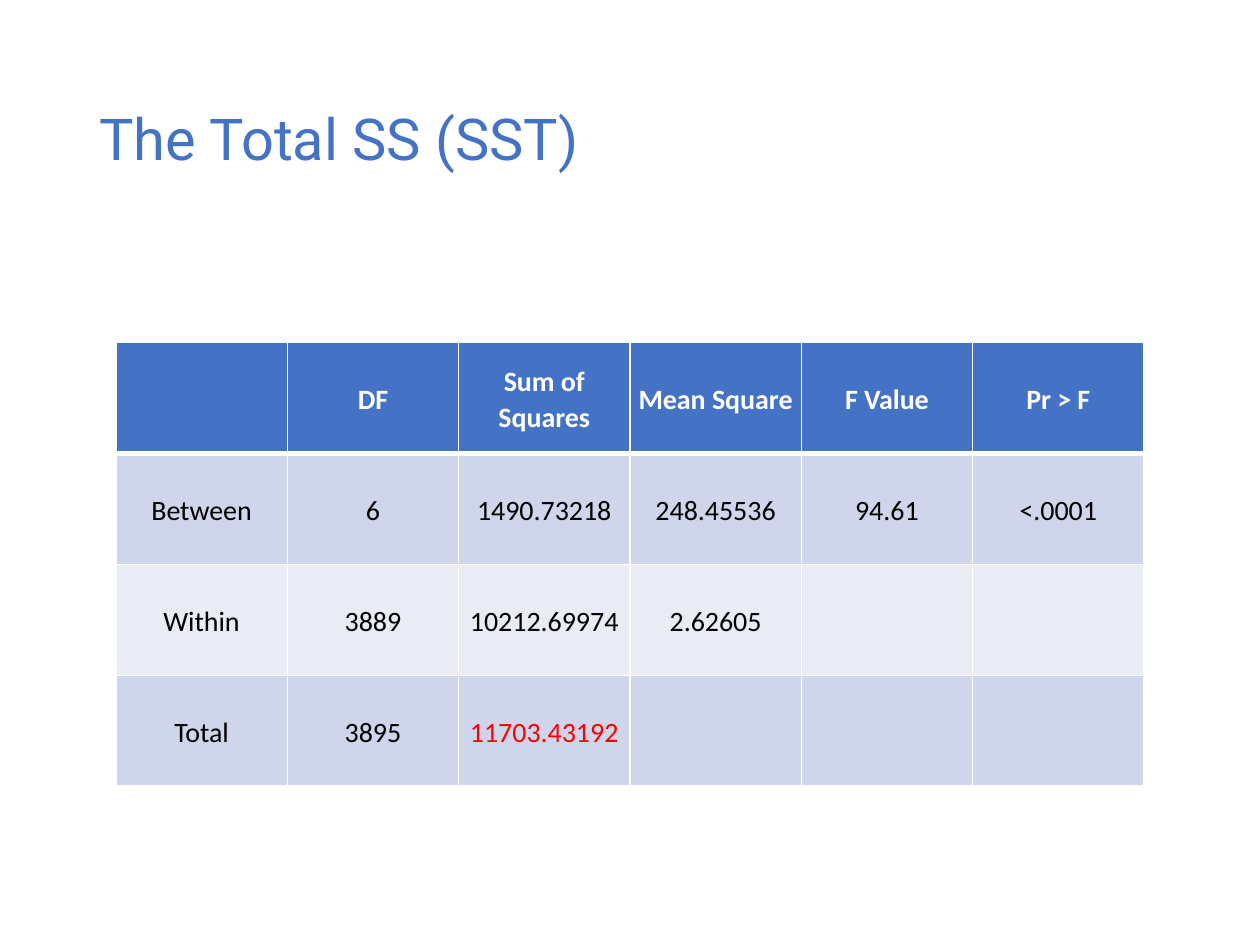
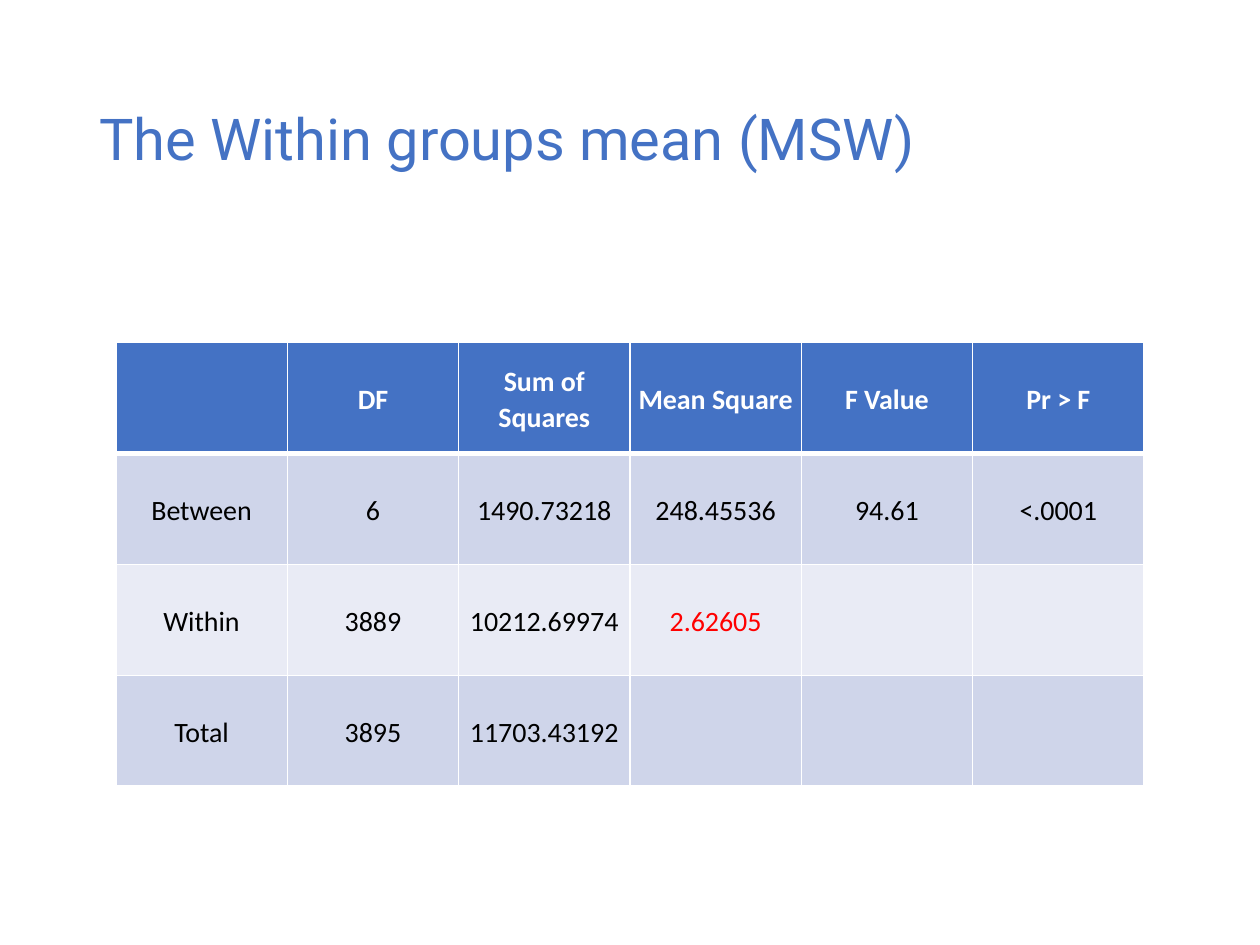
from lxml.etree import SubElement
from pptx import Presentation
from pptx.dml.color import RGBColor
from pptx.enum.text import MSO_ANCHOR, MSO_AUTO_SIZE, PP_ALIGN
from pptx.oxml.ns import qn
from pptx.util import Inches, Pt

COLORS = {
    "accent": "4472C4",
    "band_dark": "CFD5EA",
    "band_light": "E9EBF5",
    "body": "000000",
    "highlight": "FF0000",
    "white": "FFFFFF",
}
TITLE_FONT, TABLE_FONT = "Roboto", "Calibri"
COLUMN_WIDTH, ROW_HEIGHT = 1.36, 0.88
ANOVA_ROWS = [
    ["", "DF", "Sum of Squares", "Mean Square", "F Value", "Pr > F"],
    ["Between", "6", "1490.73218", "248.45536", "94.61", "<.0001"],
    ["Within", "3889", "10212.69974", "2.62605", "", ""],
    ["Total", "3895", "11703.43192", "", "", ""],
]
SLIDES = [
    ("The Total SS (SST)", ("Total", "Sum of Squares")),
    ("The Within groups mean (MSW)", ("Within", "Mean Square")),
]


def style_font(font, name, size, color, bold=False):
    """Set the typeface, size, colour and weight of a font."""
    font.name, font.size, font.bold = name, Pt(size), bold
    font.color.rgb = RGBColor.from_string(COLORS[color])


def add_title(page, text):
    """Place and format the title placeholder."""
    title = page.shapes.title
    title.left, title.top = Inches(0.69), Inches(0.4)
    title.width, title.height = Inches(8.62), Inches(1.45)
    frame = title.text_frame
    frame.text = text
    frame.word_wrap = True
    frame.auto_size = MSO_AUTO_SIZE.NONE
    frame.vertical_anchor = MSO_ANCHOR.MIDDLE
    para = frame.paragraphs[0]
    para.alignment = PP_ALIGN.LEFT
    para.line_spacing = 0.9
    style_font(para.font, TITLE_FONT, 33, "accent")


def set_borders(cell, top, bottom):
    """Draw white cell borders, with the given top and bottom widths."""
    properties = cell._tc.get_or_add_tcPr()
    for side, width in (("L", 1), ("R", 1), ("T", top), ("B", bottom)):
        line = SubElement(properties, qn(f"a:ln{side}"), w=str(Pt(width)))
        fill = SubElement(line, qn("a:solidFill"))
        SubElement(fill, qn("a:srgbClr"), val=COLORS["white"])


def fill_cell(cell, text, background, color, bold):
    """Set the background and the centred text of a cell."""
    cell.fill.solid()
    cell.fill.fore_color.rgb = RGBColor.from_string(COLORS[background])
    cell.vertical_anchor = MSO_ANCHOR.MIDDLE
    cell.margin_left = cell.margin_top = cell.margin_right = Inches(0.01)
    cell.margin_bottom = 0
    cell.text = text
    para = cell.text_frame.paragraphs[0]
    para.alignment = PP_ALIGN.CENTER
    para.line_spacing = 1.07
    style_font(para.font, TABLE_FONT, 16, color, bold)


def add_anova_table(page, highlighted):
    """Add the variance table and highlight one (row, column) value."""
    header = ANOVA_ROWS[0]
    row_count, column_count = len(ANOVA_ROWS), len(header)
    table = page.shapes.add_table(
        row_count, column_count, Inches(0.92), Inches(2.72),
        Inches(COLUMN_WIDTH * column_count), Inches(ROW_HEIGHT * row_count),
    ).table
    for column in table.columns:
        column.width = Inches(COLUMN_WIDTH)
    for row_index, values in enumerate(ANOVA_ROWS):
        table.rows[row_index].height = Inches(ROW_HEIGHT)
        is_header = row_index == 0
        band = "band_dark" if row_index % 2 else "band_light"
        for column_index, value in enumerate(values):
            cell = table.cell(row_index, column_index)
            set_borders(cell, 3 if row_index == 1 else 1, 3 if is_header else 1)
            color = "white" if is_header else "body"
            if (values[0], header[column_index]) == highlighted:
                color = "highlight"
            fill_cell(cell, value, "accent" if is_header else band, color, is_header)


def main():
    """Build and save the deck."""
    deck = Presentation()
    deck.slide_width, deck.slide_height = Inches(10), Inches(7.5)
    for title, highlighted in SLIDES:
        page = deck.slides.add_slide(deck.slide_layouts[5])
        add_title(page, title)
        add_anova_table(page, highlighted)
    deck.save("out.pptx")


if __name__ == "__main__":
    main()
